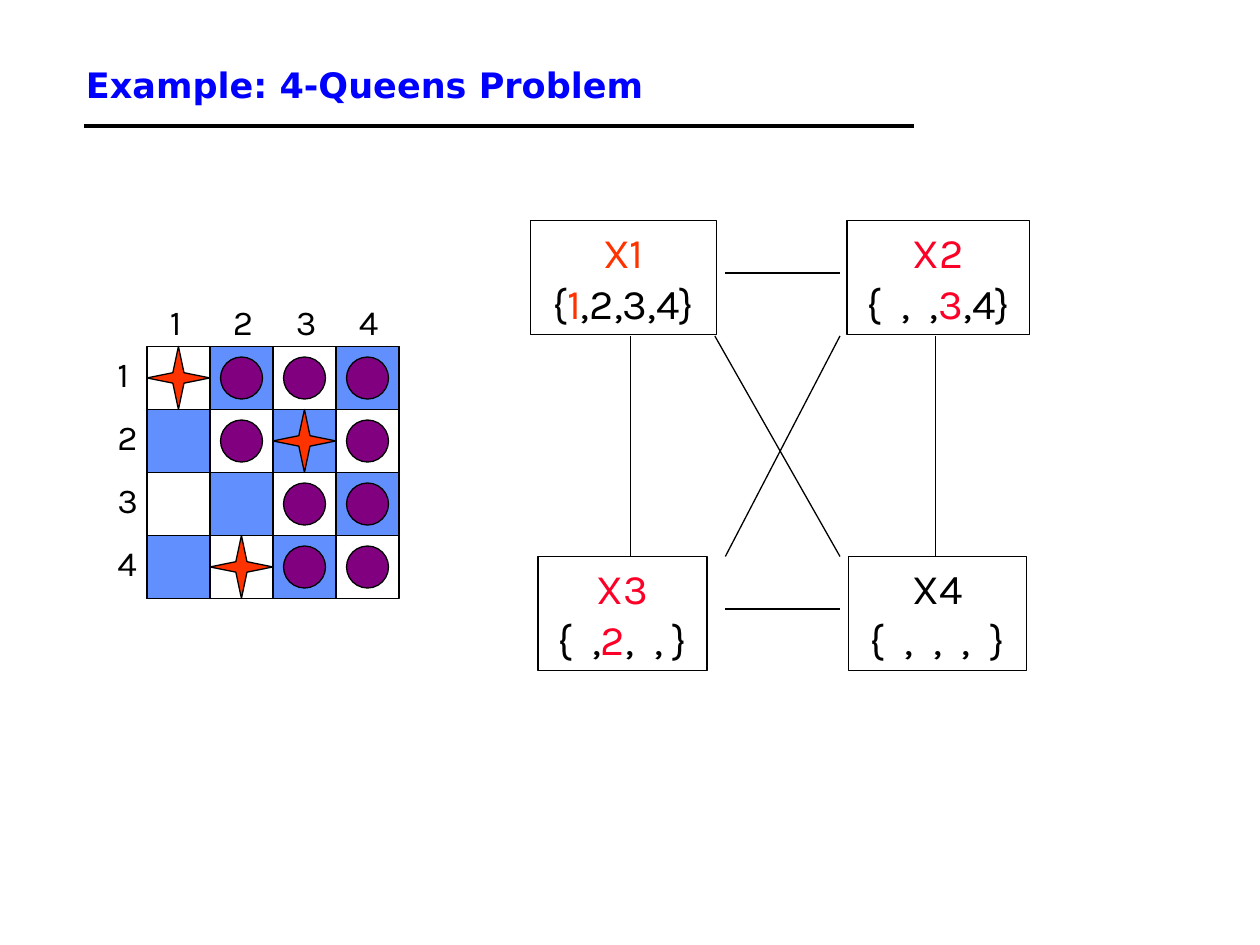
from lxml import etree
from pptx import Presentation
from pptx.dml.color import RGBColor
from pptx.enum.shapes import MSO_CONNECTOR, MSO_SHAPE
from pptx.enum.text import MSO_ANCHOR, MSO_AUTO_SIZE, PP_ALIGN
from pptx.oxml.ns import qn
from pptx.util import Pt

BLACK = RGBColor(0x00, 0x00, 0x00)
BLUE = RGBColor(0x00, 0x00, 0xFF)
SQUARE = RGBColor(0x61, 0x8F, 0xFD)
ORANGE = RGBColor(0xFF, 0x33, 0x00)
RED = RGBColor(0xFC, 0x01, 0x28)
PURPLE = RGBColor(0x80, 0x00, 0x80)


class Deck:
    """Holds the style and the current slide; all lengths are in points."""
    font = "Karla"
    title_font = "DejaVu Sans"
    line_width = 0.75

    def __init__(self, prs):
        self.slide = prs.slides.add_slide(prs.slide_layouts[6])
        self.shapes = self.slide.shapes

    def finish(self, sp, fill):
        sp.shadow.inherit = False
        if fill is None:
            sp.fill.background()
        else:
            sp.fill.solid()
            sp.fill.fore_color.rgb = fill
        sp.line.color.rgb = BLACK
        sp.line.width = Pt(self.line_width)
        return sp

    def shape(self, kind, x, y, w, h, fill=None):
        return self.finish(self.shapes.add_shape(kind, Pt(x), Pt(y), Pt(w), Pt(h)), fill)

    def star(self, x, y, size):
        mid, dx, dy = size / 2, 3.2, 3
        points = [(0, mid), (mid - dx, mid - dy), (mid, 0), (mid + dx, mid - dy),
                  (size, mid), (mid + dx, mid + dy), (mid, size), (mid - dx, mid + dy)]
        points = [(Pt(x + px), Pt(y + py)) for px, py in points]
        fb = self.shapes.build_freeform(*points[0])
        fb.add_line_segments(points[1:], close=True)
        return self.finish(fb.convert_to_shape(), ORANGE)

    def line(self, x1, y1, x2, y2, width=line_width):
        c = self.shapes.add_connector(MSO_CONNECTOR.STRAIGHT, Pt(x1), Pt(y1), Pt(x2), Pt(y2))
        c.line.color.rgb = BLACK
        c.line.width = Pt(width)
        etree.SubElement(c._element.spPr, qn("a:effectLst"))

    def text(self, text, x, y, w, h):
        tf = self.shapes.add_textbox(Pt(x), Pt(y), Pt(w), Pt(h)).text_frame
        tf.word_wrap = False
        tf.auto_size = MSO_AUTO_SIZE.SHAPE_TO_FIT_TEXT
        p = tf.paragraphs[0]
        p.text = text
        p.font.name, p.font.size, p.font.color.rgb = self.font, Pt(20), BLACK

    def title(self, text, x, y, w, h):
        tf = self.shapes.add_textbox(Pt(x), Pt(y), Pt(w), Pt(h)).text_frame
        tf.word_wrap = True
        tf.vertical_anchor = MSO_ANCHOR.MIDDLE
        p = tf.paragraphs[0]
        p.text = text
        p.font.name, p.font.size, p.font.color.rgb = self.title_font, Pt(20), BLUE
        p.font.bold = True

    def variable(self, x, y, w, h, lines):
        """Box of centred lines, each a list of (text, colour) runs."""
        tf = self.shape(MSO_SHAPE.RECTANGLE, x, y, w, h).text_frame
        tf.word_wrap = False
        tf.auto_size = MSO_AUTO_SIZE.SHAPE_TO_FIT_TEXT
        tf.vertical_anchor = MSO_ANCHOR.TOP
        for i, runs in enumerate(lines):
            p = tf.add_paragraph() if i else tf.paragraphs[0]
            p.alignment = PP_ALIGN.CENTER
            p.font.name, p.font.size = self.font, Pt(24)
            for text, color in runs:
                r = p.add_run()
                r.text = text
                r.font.color.rgb = color


def main():
    prs = Presentation()
    prs.slide_width, prs.slide_height = Pt(720), Pt(540)
    s = Deck(prs)

    # Title and rule
    s.line(48, 72, 522, 72, 2.25)
    s.title("Example: 4-Queens Problem", 42, 24, 612, 48)

    # Board with row and column numbers
    left, top, cell, n = 84, 198, 36, 4
    s.shape(MSO_SHAPE.RECTANGLE, left, top, n * cell, n * cell)
    for row in range(n):
        for col in range(n):
            if (row + col) % 2:
                s.shape(MSO_SHAPE.RECTANGLE, left + col * cell, top + row * cell,
                        cell, cell, SQUARE)
    for i in range(n):
        s.text(str(i + 1), left - 24, top + i * cell, 26, 31.5)
        s.text(str(i + 1), left + 6 + i * cell, top - 30, 26, 31.5)

    # Queens (Q) and ruled-out squares (x)
    for row, marks in enumerate(["Qxxx", ".xQx", "..xx", ".Qxx"]):
        for col, mark in enumerate(marks):
            x, y = left + col * cell, top + row * cell
            if mark == "Q":
                s.star(x, y, cell)
            elif mark == "x":
                s.shape(MSO_SHAPE.OVAL, x + 6, y + 6, 24, 24, PURPLE)

    # Variables with their remaining domains
    upper, lower, height = 126, 318, 65
    s.variable(303, upper, 106.5, height, [
        [("X1", ORANGE)], [("{", BLACK), ("1", ORANGE), (",2,3,4}", BLACK)]])
    s.variable(484, upper, 104.5, height, [
        [("X2", RED)], [("{  ,  ,", BLACK), ("3", RED), (",4}", BLACK)]])
    s.variable(307.5, lower, 96.5, height, [
        [("X3", RED)], [("{  ,", BLACK), ("2", RED), (",  , }", BLACK)]])
    s.variable(485, lower, 101.5, height, [
        [("X4", BLACK)], [("{  ,  ,  ,  }", BLACK)]])

    # Constraints between variables
    for y in (156, 348):
        s.line(414.5, y, 480, y)
    for x1, x2 in [(360.5, 360.5), (534.5, 534.5), (408.5, 480), (480, 414.5)]:
        s.line(x1, 192, x2, lower)

    prs.save("out.pptx")


if __name__ == "__main__":
    main()
